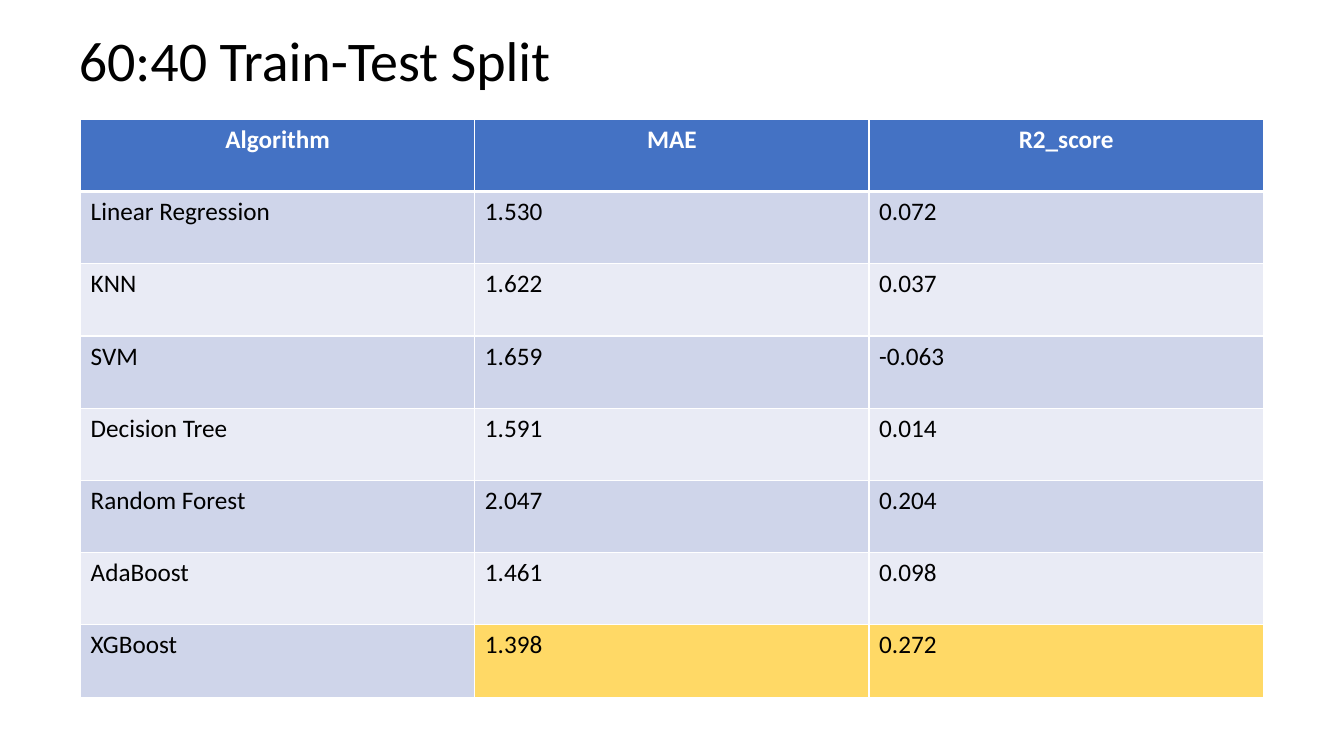
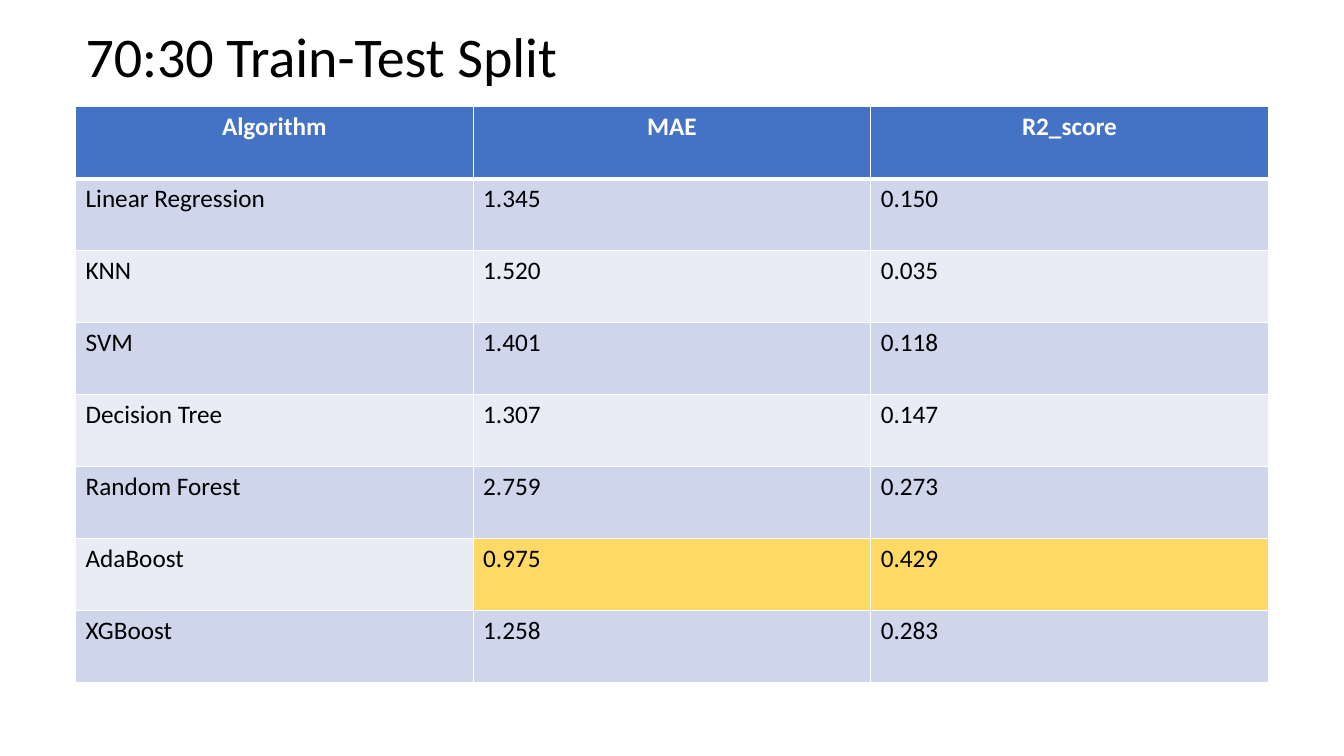
import pptx
import pptx.dml.color
import pptx.enum.text
import pptx.oxml
import pptx.oxml.ns
import pptx.util

FONT = "Calibri"
BLACK, WHITE = "000000", "FFFFFF"
HEADER_FILL, BEST_FILL = "4472C4", "FFD966"
BAND_FILLS = ("CFD5EA", "E9EBF5")
GRID_COLUMNS, GRID_ROWS = 160, 90
UNIT = pptx.util.Inches(7.5) / GRID_ROWS
HEADERS = ("Algorithm", "MAE", "R2_score")
ALGORITHMS = ("Linear Regression", "KNN", "SVM", "Decision Tree",
              "Random Forest", "AdaBoost", "XGBoost")
SPLITS = (
    {
        "title": "60:40 Train-Test Split",
        "title_box": (8.2, 2.4, 92, 9),
        "table_box": (9.6, 14.2, 140.8, 68.8),
        "errors": ("1.530", "1.622", "1.659", "1.591", "2.047", "1.461", "1.398"),
        "scores": ("0.072", "0.037", "-0.063", "0.014", "0.204", "0.098", "0.272"),
    },
    {
        "title": "70:30 Train-Test Split",
        "title_box": (9, 2, 88, 9),
        "table_box": (9, 12.7, 142, 68.6),
        "errors": ("1.345", "1.520", "1.401", "1.307", "2.759", "0.975", "1.258"),
        "scores": ("0.150", "0.035", "0.118", "0.147", "0.273", "0.429", "0.283"),
    },
)


def color(value):
    """Return the colour for a hex string."""
    return pptx.dml.color.RGBColor.from_string(value)


def grid(box):
    """Turn left, top, width and height in grid units into lengths."""
    return [pptx.util.Emu(round(units * UNIT)) for units in box]


def style_paragraph(paragraph, size, font_color, bold=False):
    """Set the font of a whole paragraph."""
    paragraph.font.name = FONT
    paragraph.font.size = pptx.util.Pt(size)
    paragraph.font.bold = bold
    paragraph.font.color.rgb = color(font_color)


def add_title(slide, box, text):
    """Write the slide title into its box."""
    frame = slide.shapes.add_textbox(*grid(box)).text_frame
    frame.word_wrap = True
    paragraph = frame.paragraphs[0]
    paragraph.text = text
    style_paragraph(paragraph, 40, BLACK)


def add_borders(cell, widths):
    """Draw white cell borders with the given widths by side."""
    properties = cell._tc.get_or_add_tcPr()
    for side, width in widths.items():
        properties.append(pptx.oxml.parse_xml(
            f'<a:ln{side} {pptx.oxml.ns.nsdecls("a")} w="{pptx.util.Pt(width)}">'
            f'<a:solidFill><a:srgbClr val="{WHITE}"/></a:solidFill></a:ln{side}>'))


def fill_cell(cell, text, row, fill):
    """Write and style one cell, with row 0 as the header."""
    header = row == 0
    paragraph = cell.text_frame.paragraphs[0]
    paragraph.text = text
    if header:
        paragraph.alignment = pptx.enum.text.PP_ALIGN.CENTER
    style_paragraph(paragraph, 18, WHITE if header else BLACK, header)
    add_borders(cell, {"L": 1, "R": 1, "T": 3 if row == 1 else 1,
                       "B": 3 if header else 1})
    cell.fill.solid()
    cell.fill.fore_color.rgb = color(fill)


def add_results(slide, box, errors, scores):
    """Build the results table and mark the values with the lowest error."""
    rows = [HEADERS, *zip(ALGORITHMS, errors, scores)]
    best_row = 1 + errors.index(min(errors, key=float))
    left, top, width, height = grid(box)
    table = slide.shapes.add_table(
        len(rows), len(HEADERS), left, top, width, height).table
    table.first_row = table.horz_banding = False
    for column in table.columns:
        column.width = width // len(HEADERS)
    for row, values in enumerate(rows):
        table.rows[row].height = height // len(rows)
        row_fill = BAND_FILLS[(row - 1) % 2] if row else HEADER_FILL
        for column, text in enumerate(values):
            best = row == best_row and column > 0
            fill_cell(table.cell(row, column), text, row,
                      BEST_FILL if best else row_fill)


def add_split_slide(presentation, split):
    """Add the slide for one train-test split."""
    slide = presentation.slides.add_slide(presentation.slide_layouts[6])
    add_title(slide, split["title_box"], split["title"])
    add_results(slide, split["table_box"], split["errors"], split["scores"])


def main():
    """Build and save the presentation."""
    presentation = pptx.Presentation()
    presentation.slide_width, presentation.slide_height = grid(
        (GRID_COLUMNS, GRID_ROWS))
    for split in SPLITS:
        add_split_slide(presentation, split)
    presentation.save("out.pptx")


if __name__ == "__main__":
    main()
